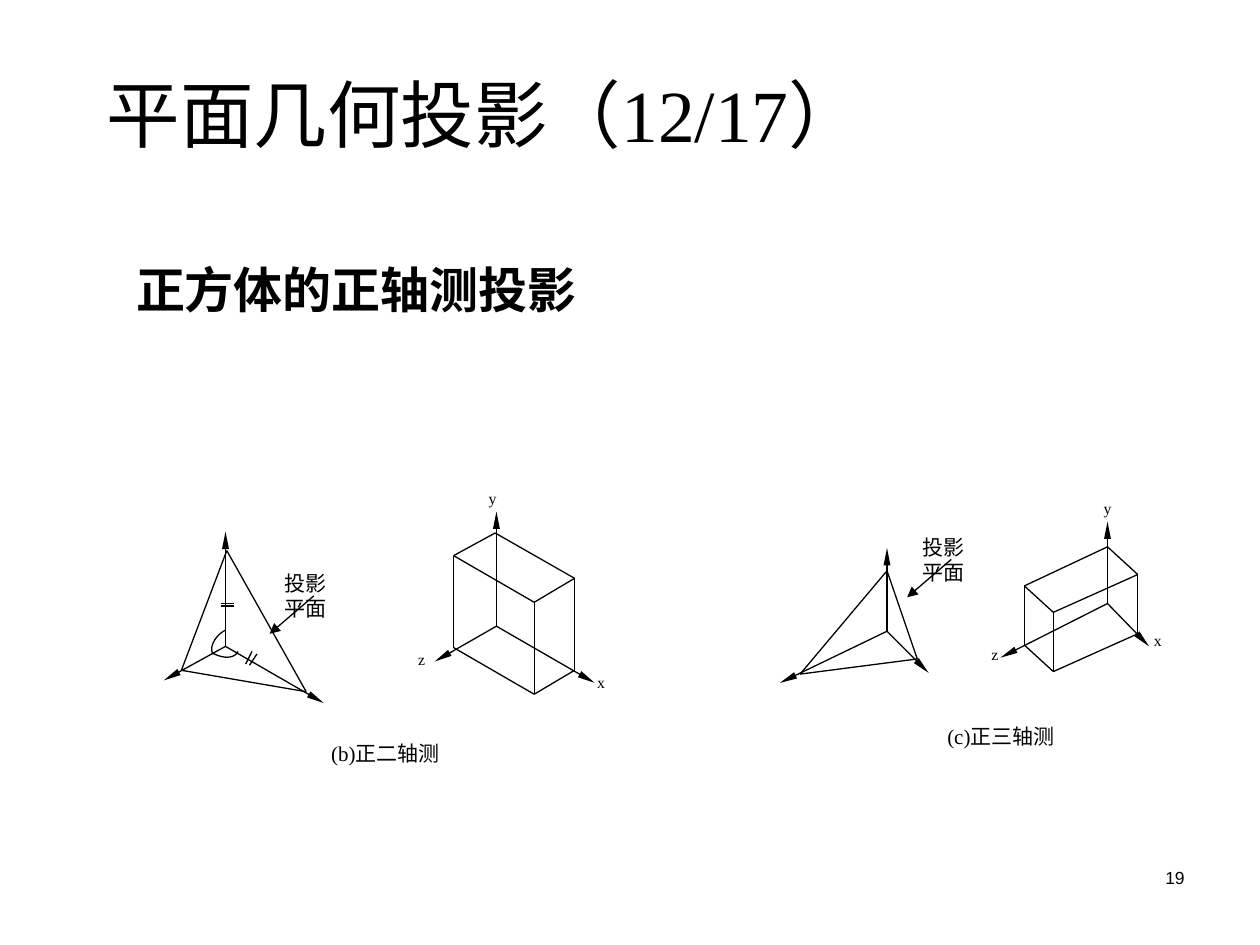
from lxml import etree
from pptx import Presentation
from pptx.dml.color import RGBColor
from pptx.enum.shapes import MSO_CONNECTOR
from pptx.enum.text import MSO_ANCHOR, PP_ALIGN
from pptx.oxml.ns import qn
from pptx.util import Inches, Pt

BLACK = RGBColor(0, 0, 0)
SERIF = "Times New Roman"
SANS = "Arial"
LEFT, RIGHT, EVEN = PP_ALIGN.LEFT, PP_ALIGN.RIGHT, PP_ALIGN.JUSTIFY
TOP, MIDDLE = MSO_ANCHOR.TOP, MSO_ANCHOR.MIDDLE
STRAIGHT = MSO_CONNECTOR.STRAIGHT
THIN = Pt(0.75)
LABEL, CAPTION = 9, 12


class Sketch:
    """Holds the slide, the group being drawn and the common style."""

    def __init__(self, slide):
        self.slide = slide
        self.shapes = slide.shapes

    def group(self):
        self.shapes = self.slide.shapes.add_group_shape().shapes

    def ungroup(self):
        self.shapes = self.slide.shapes

    def style(self, frame, text, size, font=SERIF, align=LEFT,
              anchor=TOP, bold=False):
        frame.text = text
        frame.word_wrap = True
        frame.vertical_anchor = anchor
        for para in frame.paragraphs:
            para.alignment = align
            for run in para.runs:
                run.font.size = Pt(size)
                run.font.name = font
                run.font.bold = bold
                run.font.color.rgb = BLACK

    def text(self, box, text, size, **look):
        shape = self.shapes.add_textbox(*map(Inches, box))
        self.style(shape.text_frame, text, size, **look)

    def title(self, box, text, size, **look):
        shape = self.slide.shapes.title
        shape.left, shape.top, shape.width, shape.height = map(Inches, box)
        self.style(shape.text_frame, text, size, **look)

    def label(self, x, y, text):
        self.text((x, y, 0.35, 0.3), text, LABEL, align=EVEN)

    def line(self, start, end, head=None):
        link = self.shapes.add_connector(STRAIGHT, *map(Inches, start + end))
        link.line.color.rgb = BLACK
        link.line.width = THIN
        if head:
            wide, long = head
            etree.SubElement(link.line._get_or_add_ln(), qn("a:tailEnd"),
                             type="triangle", w=wide, len=long)
        etree.SubElement(link._element.spPr, qn("a:effectLst"))

    def axes(self, origin, *tips):
        for tip in tips:
            self.line(origin, tip, ("sm", "lg"))

    def loop(self, *points):
        for start, end in zip(points, points[1:] + points[:1]):
            self.line(start, end)

    def prism(self, back, left, front, right, height):
        """Top face, three uprights and the two near base edges."""
        self.loop(back, left, front, right)
        base = [(x, round(y + height, 2)) for x, y in (left, front, right)]
        for top, foot in zip((left, front, right), base):
            self.line(top, foot)
        for start, end in zip(base, base[1:]):
            self.line(start, end)

    def curve(self, p0, p1, p2, p3, steps=10):
        """Cubic curve drawn as short segments."""
        points = []
        for i in range(steps + 1):
            t = i / steps
            u = 1 - t
            points.append(tuple(
                Inches(u**3 * a + 3 * u*u*t * b + 3 * u*t*t * c + t**3 * d)
                for a, b, c, d in zip(p0, p1, p2, p3)))
        pen = self.shapes.build_freeform(*points[0])
        pen.add_line_segments(points[1:], close=False)
        shape = pen.convert_to_shape()
        shape.fill.background()
        shape.line.color.rgb = BLACK
        shape.line.width = THIN
        shape.shadow.inherit = False

    def plane(self, x, y):
        """Label of the projection plane with its pointer."""
        self.text((x, y, 0.7, 0.3), "投影\n平面", CAPTION, align=EVEN)
        self.line((x + 0.33, y + 0.25), (x - 0.02, y + 0.55), ("med", "med"))


def main():
    deck = Presentation()
    deck.slide_width, deck.slide_height = Inches(10), Inches(7.5)
    art = Sketch(deck.slides.add_slide(deck.slide_layouts[5]))

    # Headings and page number
    art.title((0.98, 1.86, 4.02, 0.87), "正方体的正轴测投影", 28,
              anchor=MIDDLE, bold=True)
    art.text((0.75, 0.48, 8.5, 0.83), "平面几何投影（12/17）", 42,
             anchor=MIDDLE)
    art.text((7.42, 6.83, 2.08, 0.5), "19", 10, font=SANS, align=RIGHT)

    # Figure c: trimetric plane and cube
    art.group()
    art.text((7.42, 5.69, 1.16, 0.3), "(c)正三轴测", CAPTION, align=EVEN)
    art.axes((7.04, 5.01), (7.04, 4.35), (7.37, 5.34), (6.19, 5.42))
    art.loop((7.04, 4.53), (7.28, 5.23), (6.35, 5.35))
    art.plane(7.22, 4.19)
    art.axes((8.79, 4.79), (8.79, 4.14), (9.12, 5.13), (7.94, 5.22))
    art.prism((8.79, 4.34), (8.13, 4.65), (8.36, 4.86), (9.03, 4.56), 0.47)
    for x, y, name in ((8.66, 3.91, "y"), (7.77, 5.07, "z"),
                       (9.06, 4.96, "x")):
        art.label(x, y, name)

    # Figure b: dimetric plane and cube
    art.group()
    art.text((2.53, 5.83, 1.07, 0.3), "(b)正二轴测", CAPTION, align=EVEN)
    art.axes((1.79, 5.13), (1.79, 4.22), (2.57, 5.58), (1.3, 5.4))
    art.loop((1.8, 4.37), (2.43, 5.49), (1.44, 5.32))
    art.plane(2.16, 4.48)
    art.axes((3.94, 4.97), (3.94, 4.06), (4.72, 5.42), (3.45, 5.25))
    art.prism((3.93, 4.23), (3.6, 4.41), (4.24, 4.78), (4.56, 4.59), 0.73)
    for x, y, name in ((3.78, 3.83, "y"), (3.22, 5.11, "z"),
                       (4.64, 5.29, "x")):
        art.label(x, y, name)

    # Equal-length ticks and equal-angle arcs
    for y in (4.79, 4.81):
        art.line((1.75, y), (1.86, y))
    art.line((2, 5.17), (1.95, 5.27))
    art.line((2.04, 5.19), (1.98, 5.28))
    art.curve((1.89, 5.17), (1.86, 5.23), (1.77, 5.23), (1.68, 5.18))
    art.curve((1.69, 5.19), (1.66, 5.14), (1.7, 5.05), (1.79, 5))
    art.ungroup()

    deck.save("out.pptx")


if __name__ == "__main__":
    main()
